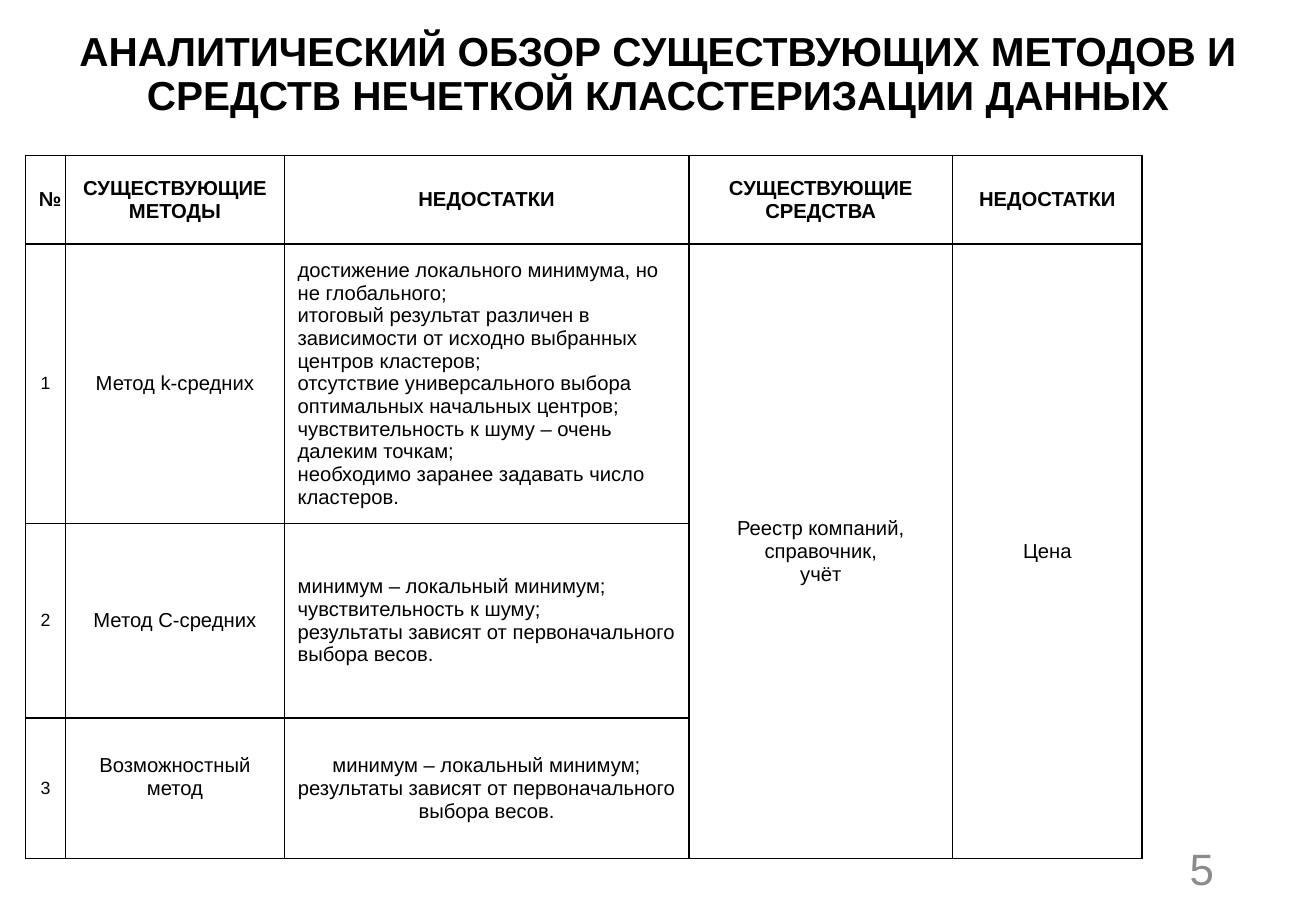
from dataclasses import dataclass

from lxml import etree
from pptx import Presentation
from pptx import util as u
from pptx.dml.color import RGBColor
from pptx.enum import text
from pptx.oxml import ns


@dataclass(frozen=True)
class Theme:
    font: str = "Arial"
    ink: str = "000000"
    muted: str = "8C8C8C"
    title: float = 24
    number: float = 26
    body: float = 12
    index: float = 10.5
    border: float = 1


THEME = Theme()
LEFT, CENTER, RIGHT = text.PP_ALIGN.LEFT, text.PP_ALIGN.CENTER, text.PP_ALIGN.RIGHT
MIDDLE = text.MSO_ANCHOR.MIDDLE
COLS = [0.33, 1.8, 3.33, 2.17, 1.56]
ROWS = [0.73, 2.16, 1.6, 1.16]
HEADERS = ["№", "СУЩЕСТВУЮЩИЕ МЕТОДЫ", "НЕДОСТАТКИ", "СУЩЕСТВУЮЩИЕ СРЕДСТВА", "НЕДОСТАТКИ"]
METHODS = [
    ("Метод k-средних", LEFT, [
        "достижение локального минимума, но не глобального;",
        "итоговый результат различен в зависимости от исходно выбранных центров кластеров;",
        "отсутствие универсального выбора оптимальных начальных центров;",
        "чувствительность к шуму – очень далеким точкам;",
        "необходимо заранее задавать число кластеров."]),
    ("Метод C-средних", LEFT, [
        "минимум – локальный минимум;",
        "чувствительность к шуму;",
        "результаты зависят от первоначального выбора весов."]),
    ("Возможностный метод", CENTER, [
        "минимум – локальный минимум;",
        "результаты зависят от первоначального выбора весов."]),
]
TOOLS = ["Реестр компаний, справочник,", "учёт"]


def write(tf, lines, size, align=CENTER, bold=False, color=THEME.ink):
    tf.text = "\n".join(lines)
    tf.word_wrap = True
    for p in tf.paragraphs:
        p.alignment = align
        for r in p.runs:
            r.font.name = THEME.font
            r.font.size = u.Pt(size)
            r.font.bold = bold
            r.font.color.rgb = RGBColor.from_string(color)


def add_title(s, title):
    sp = s.shapes.title
    sp.left, sp.top = u.Inches(0), u.Inches(0)
    sp.width, sp.height = u.Inches(10.83), u.Inches(1.24)
    write(sp.text_frame, [title], THEME.title, bold=True)
    sp.text_frame.auto_size = text.MSO_AUTO_SIZE.NONE
    sp.text_frame.vertical_anchor = MIDDLE
    sp.text_frame.paragraphs[0].line_spacing = 0.9


def add_number(s, number):
    sp = s.shapes.add_textbox(u.Inches(7.65), u.Inches(6.95), u.Inches(2.44), u.Inches(0.4))
    write(sp.text_frame, [number], THEME.number, RIGHT, color=THEME.muted)
    sp.text_frame.vertical_anchor = MIDDLE


def style_cell(cell):
    cell.fill.background()
    cell.vertical_anchor = MIDDLE
    cell.margin_left = cell.margin_right = u.Inches(0.11)
    cell.margin_top = cell.margin_bottom = u.Inches(0.05)
    tc_pr = cell._tc.get_or_add_tcPr()
    for i, side in enumerate(("a:lnL", "a:lnR", "a:lnT", "a:lnB")):
        ln = etree.Element(ns.qn(side), w=str(u.Pt(THEME.border)))
        fill = etree.SubElement(ln, ns.qn("a:solidFill"))
        etree.SubElement(fill, ns.qn("a:srgbClr"), val=THEME.ink)
        tc_pr.insert(i, ln)


def add_grid(s):
    frame = s.shapes.add_table(len(ROWS), len(COLS), u.Inches(0.21), u.Inches(1.28),
                               u.Inches(sum(COLS)), u.Inches(sum(ROWS)))
    table = frame.table
    table.first_row = table.horz_banding = False
    for col, width in zip(table.columns, COLS):
        col.width = u.Inches(width)
    for row, height in zip(table.rows, ROWS):
        row.height = u.Inches(height)
    for cell in table.iter_cells():
        style_cell(cell)
    return table


def fill_grid(table):
    for c, header in enumerate(HEADERS):
        align = CENTER if c else LEFT
        write(table.cell(0, c).text_frame, [header], THEME.body, align, bold=True)
    for r, (method, align, flaws) in enumerate(METHODS, 1):
        write(table.cell(r, 0).text_frame, [str(r)], THEME.index)
        write(table.cell(r, 1).text_frame, [method], THEME.body)
        write(table.cell(r, 2).text_frame, flaws, THEME.body, align)
    table.cell(len(METHODS), 1).margin_bottom = u.Inches(0.24)
    for c, lines in ((3, TOOLS), (4, ["Цена"])):
        table.cell(1, c).merge(table.cell(len(METHODS), c))
        write(table.cell(1, c).text_frame, lines, THEME.body)


def main():
    prs = Presentation()
    prs.slide_width, prs.slide_height = u.Inches(10.83), u.Inches(7.5)
    s = prs.slides.add_slide(prs.slide_layouts[5])
    add_title(s, "АНАЛИТИЧЕСКИЙ ОБЗОР СУЩЕСТВУЮЩИХ МЕТОДОВ И "
                 "СРЕДСТВ НЕЧЕТКОЙ КЛАССТЕРИЗАЦИИ ДАННЫХ")
    add_number(s, "5")
    fill_grid(add_grid(s))
    prs.save("out.pptx")


if __name__ == "__main__":
    main()
